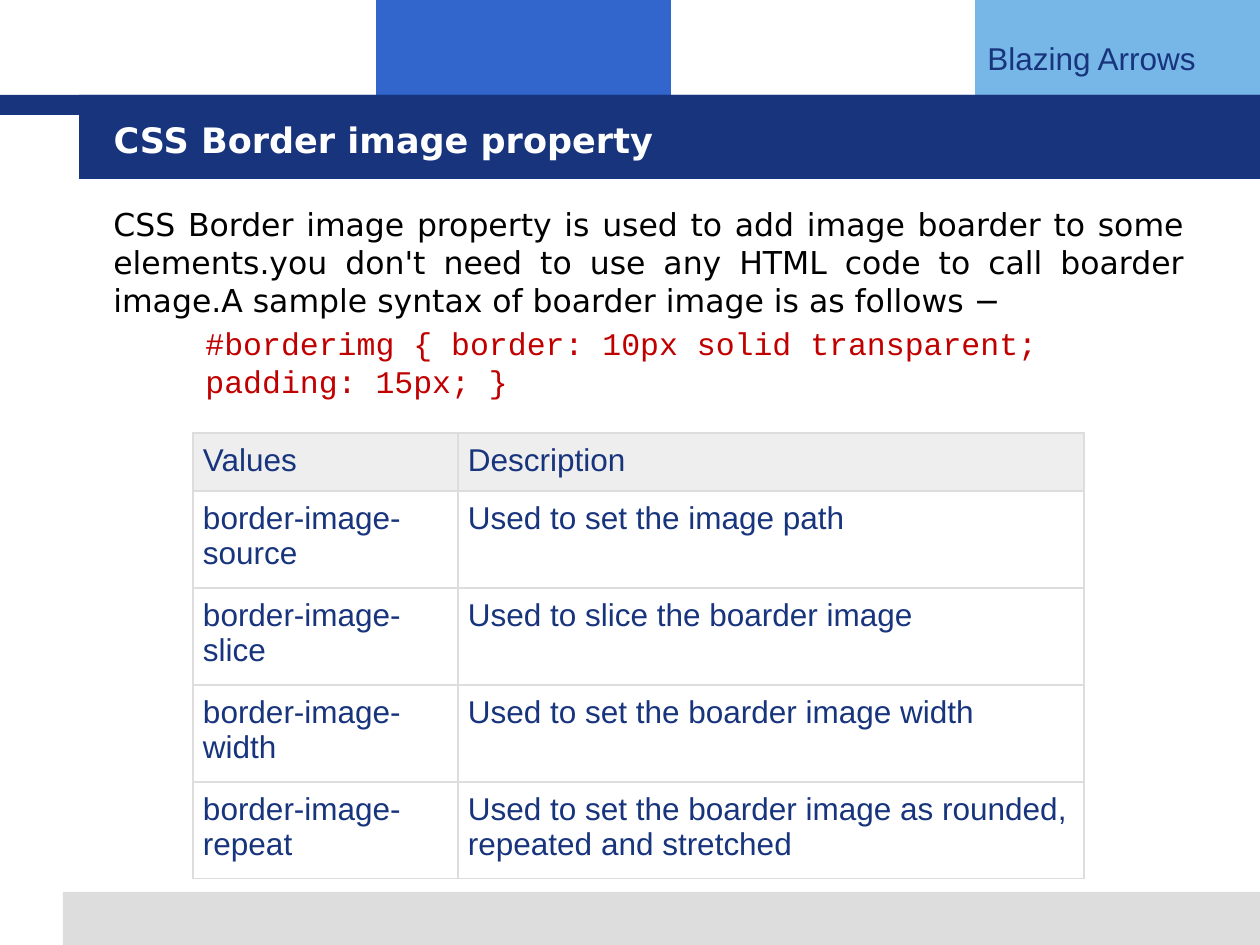
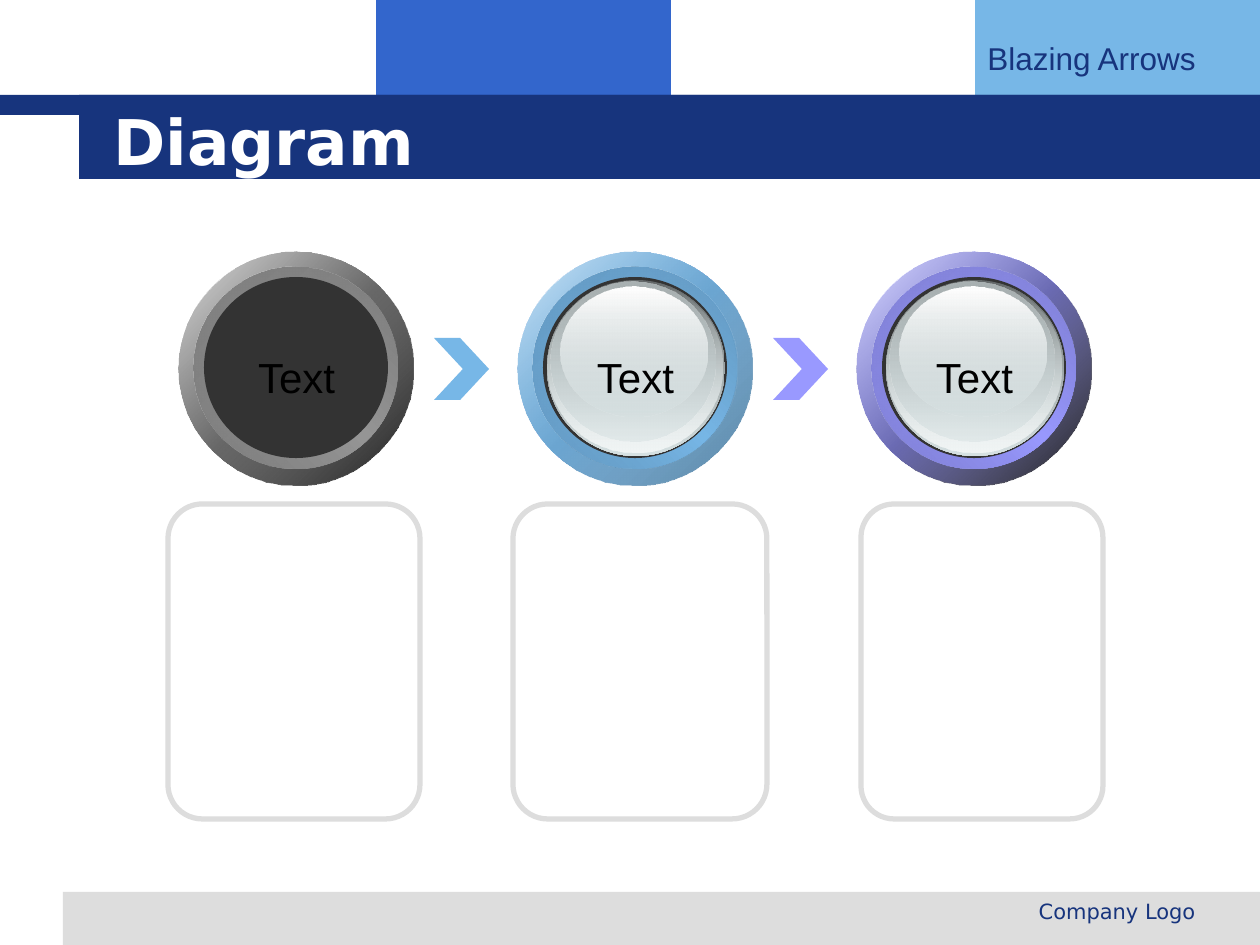
"""Build a two-slide deck: a CSS property table and a three-step diagram."""
from dataclasses import dataclass

from lxml.etree import SubElement
from pptx import Presentation
from pptx.dml.color import RGBColor
from pptx.enum.shapes import MSO_SHAPE
from pptx.enum.text import MSO_ANCHOR, MSO_AUTO_SIZE, PP_ALIGN
from pptx.oxml.ns import qn
from pptx.util import Emu, Pt

SCALE = 914400 / 126


@dataclass(frozen=True)
class Theme:
    """Colours, fonts and type sizes of the deck."""
    navy: str = "17347D"
    blue: str = "3366CC"
    sky: str = "77B7E7"
    violet: str = "9999FF"
    gray: str = "969696"
    silver: str = "DDDDDD"
    header: str = "EEEEEE"
    core: str = "333333"
    code: str = "C00000"
    black: str = "000000"
    white: str = "FFFFFF"
    glass: str = "D6E1E2"
    sans: str = "Arial"
    display: str = "DejaVu Sans"
    mono: str = "Courier New"
    small: int = 12
    body: int = 18
    heading: int = 20
    label: int = 24
    hero: int = 36


def px(n):
    """Turn pixels into EMU."""
    return Emu(round(n * SCALE))


def rgb(color):
    """Turn a hex string into a colour."""
    return RGBColor.from_string(color)


class Deck:
    """Holds the style, the presentation and the current slide."""

    def __init__(self, theme):
        """Start a deck on the title-only layout."""
        self.theme = theme
        self.prs = Presentation()
        self.prs.slide_width, self.prs.slide_height = px(1260), px(945)
        self.layout = self.prs.slide_layouts[5]
        for ph in list(self.layout.placeholders)[1:]:
            ph.element.getparent().remove(ph.element)
        self.slide = None

    def add_slide(self, title, size):
        """Add a slide with its title."""
        self.slide = self.prs.slides.add_slide(self.layout)
        sp = self.slide.shapes.title
        sp.left, sp.top, sp.width, sp.height = map(px, (101, 101, 1075, 78))
        tf = sp.text_frame
        tf.auto_size = MSO_AUTO_SIZE.NONE
        tf.vertical_anchor = MSO_ANCHOR.MIDDLE
        self.add_run(tf, title, size, self.theme.display, self.theme.white, bold=True)

    def add_run(self, tf, text, size, font, color, align=PP_ALIGN.LEFT, bold=False):
        """Add one run to the first paragraph."""
        p = tf.paragraphs[0]
        p.alignment = align
        r = p.add_run()
        r.text = text
        r.font.size, r.font.name, r.font.bold = Pt(size), font, bold
        r.font.color.rgb = rgb(color)

    def text(self, box, text, size, font, color, align=PP_ALIGN.LEFT, wrap=True):
        """Add a text box."""
        tf = self.slide.shapes.add_textbox(*map(px, box)).text_frame
        tf.word_wrap = wrap
        self.add_run(tf, text, size, font, color, align)

    def shape(self, kind, box, fill=None, line=None, adj=None):
        """Add a preset shape with a plain fill or outline."""
        sp = self.slide.shapes.add_shape(kind, *map(px, box))
        sp.shadow.inherit = False
        if fill:
            sp.fill.solid()
            sp.fill.fore_color.rgb = rgb(fill)
        else:
            sp.fill.background()
        if line:
            sp.line.color.rgb = rgb(line)
            sp.line.width = Pt(3)
        else:
            sp.line.fill.background()
        if adj:
            sp.adjustments[0] = adj
        return sp

    def gradient_oval(self, box, angle, *stops):
        """Add an oval with a linear gradient of (position, colour, opacity) stops."""
        spPr = self.shape(MSO_SHAPE.OVAL, box).element.spPr
        grad = SubElement(spPr, qn("a:gradFill"), rotWithShape="1")
        spPr.replace(spPr.find(qn("a:noFill")), grad)
        gs_list = SubElement(grad, qn("a:gsLst"))
        for pos, color, opacity in stops:
            gs = SubElement(gs_list, qn("a:gs"), pos=str(pos * 1000))
            clr = SubElement(gs, qn("a:srgbClr"), val=color)
            if opacity < 100:
                SubElement(clr, qn("a:alpha"), val=str(opacity * 1000))
        SubElement(grad, qn("a:lin"), ang=str(angle * 60000), scaled="0")

    def bands(self):
        """Draw the bands and move them to the layout that all slides share."""
        t = self.theme
        bands = [
            ((376, 0, 295, 116), t.blue),
            ((975, 0, 285, 116), t.sky),
            ((63, 892, 1197, 53), t.silver),
            ((0, 95, 1260, 20), t.navy),
            ((79, 95, 1181, 84), t.navy),
        ]
        shapes = [self.shape(MSO_SHAPE.RECTANGLE, box, fill) for box, fill in bands]
        tf = shapes[1].text_frame
        tf.vertical_anchor = MSO_ANCHOR.MIDDLE
        self.add_run(tf, "Blazing Arrows", t.body, t.sans, t.navy)
        for i, sp in enumerate(shapes):
            self.layout.shapes.element.insert(2 + i, sp.element)

    def table(self, left, top, widths, heights, rows):
        """Add a bordered table with a tinted header row."""
        t = self.theme
        box = map(px, (left, top, sum(widths), sum(heights)))
        tbl = self.slide.shapes.add_table(len(rows), len(widths), *box).table
        tbl.first_row = tbl.horz_banding = False
        for col, width in zip(tbl.columns, widths):
            col.width = px(width)
        for i, (row, height, values) in enumerate(zip(tbl.rows, heights, rows)):
            row.height = px(height)
            for cell, value in zip(row.cells, values):
                cell.margin_left = cell.margin_right = px(10)
                cell.margin_top = cell.margin_bottom = px(10)
                self.add_run(cell.text_frame, value, t.body, t.sans, t.navy)
                self.borders(cell)
                if i:
                    cell.fill.background()
                else:
                    cell.fill.solid()
                    cell.fill.fore_color.rgb = rgb(t.header)

    def borders(self, cell):
        """Give a cell a thin border on every side."""
        tcPr = cell._tc.get_or_add_tcPr()
        for side in ("lnL", "lnR", "lnT", "lnB"):
            ln = SubElement(tcPr, qn(f"a:{side}"), w=str(int(Pt(0.75))))
            fill = SubElement(ln, qn("a:solidFill"))
            SubElement(fill, qn("a:srgbClr"), val=self.theme.silver)

    def disc(self, x, y, color, edge, rim, fade):
        """Add a bevelled ring around a dark core."""
        t = self.theme
        outer, inner = (x, y, 234, 233), (x + 15, y + 15, 204, 202)
        self.gradient_oval(outer, 45, (0, t.white, 100), (50, color, 100), (100, t.white, 100))
        self.gradient_oval(outer, 45, (0, color, 32), (100, *edge))
        self.gradient_oval(inner, 315, (0, rim, 100), (50, color, 100), (100, rim, 100))
        self.gradient_oval(inner, 45, (0, fade, 100), (100, color, 0))
        self.shape(MSO_SHAPE.OVAL, (x + 25, y + 25, 184, 181), t.core)

    def glass(self, x, y):
        """Add the glossy button that covers a disc core."""
        t = self.theme
        layers = [
            ((29, 28, 178, 176), ("636869", 100), (t.glass, 100)),
            ((30, 29, 174, 171), (t.glass, 0), ("F1F5F5", 100)),
            ((33, 30, 165, 160), ("AAB2B3", 100), (t.glass, 48)),
            ((42, 35, 147, 130), (t.white, 100), (t.glass, 38)),
        ]
        for (dx, dy, w, h), start, end in layers:
            self.gradient_oval((x + dx, y + dy, w, h), 90, (0, *start), (100, *end))


def border_image_slide(deck):
    """Build the slide on the border image property."""
    t = deck.theme
    deck.add_slide("CSS Border image property", t.heading)
    deck.bands()
    deck.text((101, 199, 1096, 204),
              "CSS Border image property is used to add image boarder to some "
              "elements.you don't need to use any HTML code to call boarder "
              "image.A sample syntax of boarder image is as follows \u2212",
              t.body, t.display, t.black, PP_ALIGN.JUSTIFY)
    deck.text((193, 318, 914, 106),
              "#borderimg { border: 10px solid transparent; padding: 15px; }",
              t.body, t.mono, t.code)
    rows = [
        ("Values", "Description"),
        ("border-image-source", "Used to set the image path"),
        ("border-image-slice", "Used to slice the boarder image"),
        ("border-image-width", "Used to set the boarder image width"),
        ("border-image-repeat",
         "Used to set the boarder image as rounded, repeated and stretched"),
    ]
    deck.table(193, 433, (265, 626), [58] + [97] * 4, rows)


def diagram_slide(deck):
    """Build the three-step diagram."""
    t = deck.theme
    left, top, pitch = 179, 252, 339
    deck.add_slide("Diagram", t.hero)
    deck.text((809, 892, 399, 44), "Company Logo", t.small, t.display, t.navy,
              PP_ALIGN.RIGHT)
    for x, width in ((168, 252), (513, 254), (861, 242)):
        deck.shape(MSO_SHAPE.ROUNDED_RECTANGLE, (x, 504, width, 315),
                   line=t.silver, adj=0.137)
    for i, color in enumerate((t.sky, t.violet)):
        deck.shape(MSO_SHAPE.CHEVRON, (434 + i * pitch, 338, 55, 62), color, adj=0.525)
    discs = [
        (t.gray, (t.black, 90), "737373", "7B7B7B"),
        (t.sky, ("5583A5", 100), "5B8CB1", "6296BE"),
        (t.violet, (t.black, 90), "7575C3", "7E7ED1"),
    ]
    for i, colors in enumerate(discs):
        x = left + i * pitch
        deck.disc(x, top, *colors)
        if i:
            deck.glass(x, top)
        deck.text((x + 64, 345, 107, 63), "Text", t.label, t.sans, t.black,
                  PP_ALIGN.CENTER, wrap=False)


deck = Deck(Theme())
border_image_slide(deck)
diagram_slide(deck)
deck.prs.save("out.pptx")
